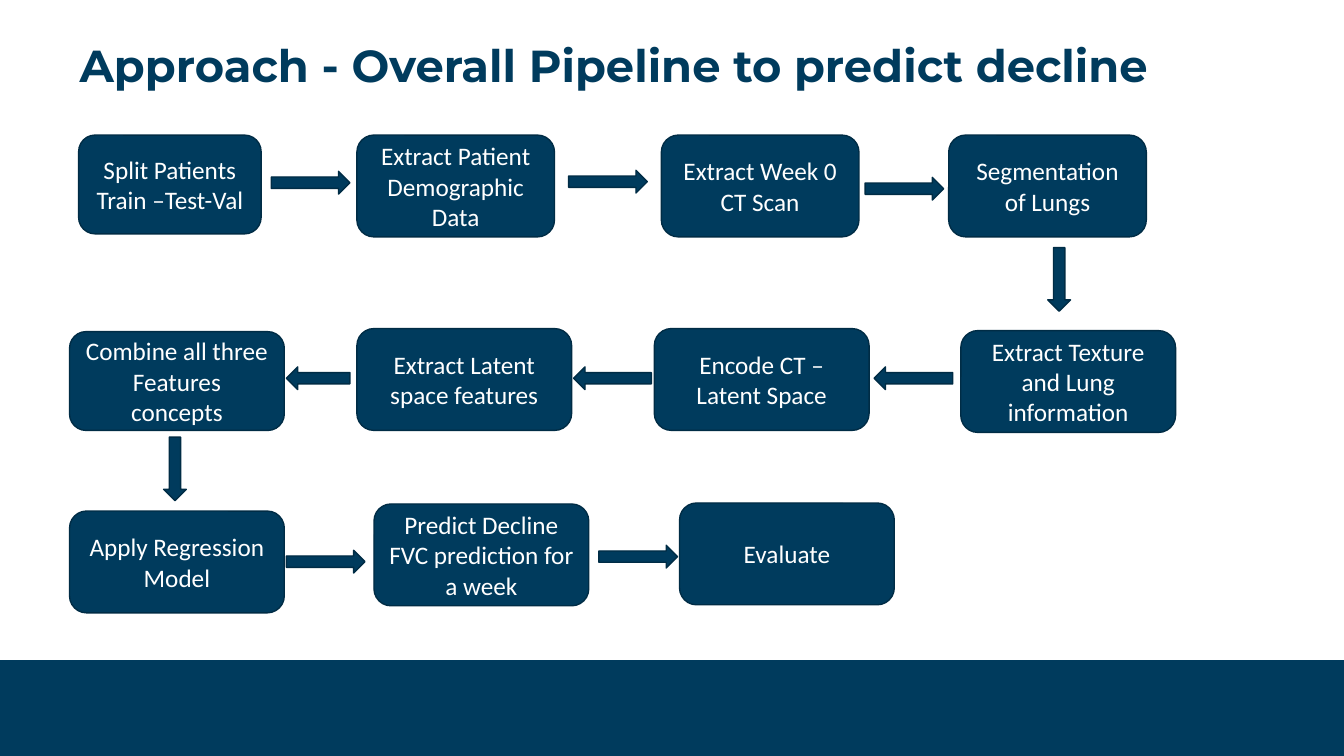
from dataclasses import dataclass

from pptx import Presentation
from pptx.dml.color import RGBColor
from pptx.enum.shapes import MSO_SHAPE
from pptx.enum.text import MSO_ANCHOR, MSO_AUTO_SIZE, PP_ALIGN
from pptx.util import Inches, Pt


@dataclass(frozen=True)
class Theme:
    navy: RGBColor = RGBColor(0x00, 0x3B, 0x5D)
    edge: RGBColor = RGBColor(0x00, 0x2C, 0x45)
    white: RGBColor = RGBColor(0xFF, 0xFF, 0xFF)
    title_font: str = "Montserrat"
    body_font: str = "Calibri"
    title_size: Pt = Pt(32)
    body_size: Pt = Pt(18)
    edge_width: Pt = Pt(1)


def apply(target, formats):
    for name, value in formats.items():
        setattr(target, name, value)


class PipelinePage:
    COLUMN = ROW = Inches(0.1)

    def __init__(self, deck, theme):
        self.theme = theme
        self.page = deck.slides.add_slide(deck.slide_layouts[5])

    def frame(self, left, top, width, height):
        return (round(left * self.COLUMN), round(top * self.ROW),
                round(width * self.COLUMN), round(height * self.ROW))

    def set_text(self, box, lines, color, font_format, para_format, frame_format):
        apply(box.text_frame, {"word_wrap": True, **frame_format})
        box.text_frame.text = "\n".join(lines)
        for para in box.text_frame.paragraphs:
            apply(para, para_format)
            for span in para.runs:
                span.font.color.rgb = color
                apply(span.font, font_format)

    def title(self, text, *place):
        theme, box = self.theme, self.page.shapes.title
        apply(box, dict(zip(("left", "top", "width", "height"), self.frame(*place))))
        self.set_text(
            box, [text], theme.navy,
            {"name": theme.title_font, "size": theme.title_size, "bold": True},
            {"alignment": PP_ALIGN.LEFT, "line_spacing": 0.9},
            {"vertical_anchor": MSO_ANCHOR.TOP, "auto_size": MSO_AUTO_SIZE.NONE})

    def shape(self, kind, place, outlined=True):
        box = self.page.shapes.add_shape(kind, *self.frame(*place))
        box.shadow.inherit = False
        box.fill.solid()
        box.fill.fore_color.rgb = self.theme.navy
        if outlined:
            box.line.color.rgb = self.theme.edge
            box.line.width = self.theme.edge_width
        else:
            box.line.fill.background()
        return box

    def band(self, *place):
        self.shape(MSO_SHAPE.RECTANGLE, place, outlined=False)

    def step(self, lines, *place):
        theme = self.theme
        self.set_text(
            self.shape(MSO_SHAPE.ROUNDED_RECTANGLE, place), lines, theme.white,
            {"name": theme.body_font, "size": theme.body_size},
            {"alignment": PP_ALIGN.CENTER}, {"vertical_anchor": MSO_ANCHOR.MIDDLE})

    def arrow(self, rotation, left, top, length, thickness=2.25):
        self.shape(MSO_SHAPE.RIGHT_ARROW, (left, top, length, thickness)).rotation = rotation


STEPS = [
    (["Split Patients Train –Test-Val"], 7.8, 13.4, 18.1, 9.8),
    (["Extract Patient Demographic Data"], 35.4, 13.4, 19.6, 10.1),
    (["Extract Week 0 CT Scan"], 65.6, 13.4, 19.6, 10.1),
    (["Segmentation of Lungs"], 94.1, 13.4, 19.6, 10.1),
    (["Extract Texture and Lung information"], 95.3, 32.8, 21.3, 10.1),
    (["Encode CT – Latent Space"], 64.9, 32.6, 21.3, 10.1),
    (["Extract Latent space features"], 35.4, 32.6, 21.3, 10.1),
    (["Combine all three Features concepts"], 6.9, 32.9, 21.3, 9.8),
    (["Apply Regression Model"], 6.9, 50.7, 21.3, 10.1),
    (["Predict Decline", "FVC prediction for a week"], 37.1, 50, 21.3, 10.1),
    (["Evaluate"], 67.4, 49.9, 21.3, 10.1),
]
RIGHT, DOWN, LEFT = 0, 90, 180
ARROWS = [
    (RIGHT, 26.9, 17, 7.8),
    (RIGHT, 56.4, 16.9, 7.8),
    (RIGHT, 85.8, 17.6, 7.8),
    (DOWN, 101.9, 26.6, 6.3),
    (LEFT, 86.7, 36.4, 7.8),
    (LEFT, 56.9, 36.4, 7.7),
    (LEFT, 28.4, 36.4, 6.3),
    (DOWN, 14.2, 45.4, 6.3),
    (RIGHT, 28.4, 54.6, 7.8),
    (RIGHT, 59.4, 54.1, 7.8),
]


def main():
    deck = Presentation()
    apply(deck, {"slide_width": Inches(13.33), "slide_height": Inches(7.5)})
    pipeline = PipelinePage(deck, Theme())
    pipeline.band(0, 65.5, 133.3, 9.5)
    pipeline.title("Approach - Overall Pipeline to predict decline", 6.9, 3.8, 116.2, 7.5)
    for step in STEPS:
        pipeline.step(*step)
    for arrow in ARROWS:
        pipeline.arrow(*arrow)
    deck.save("out.pptx")


if __name__ == "__main__":
    main()
